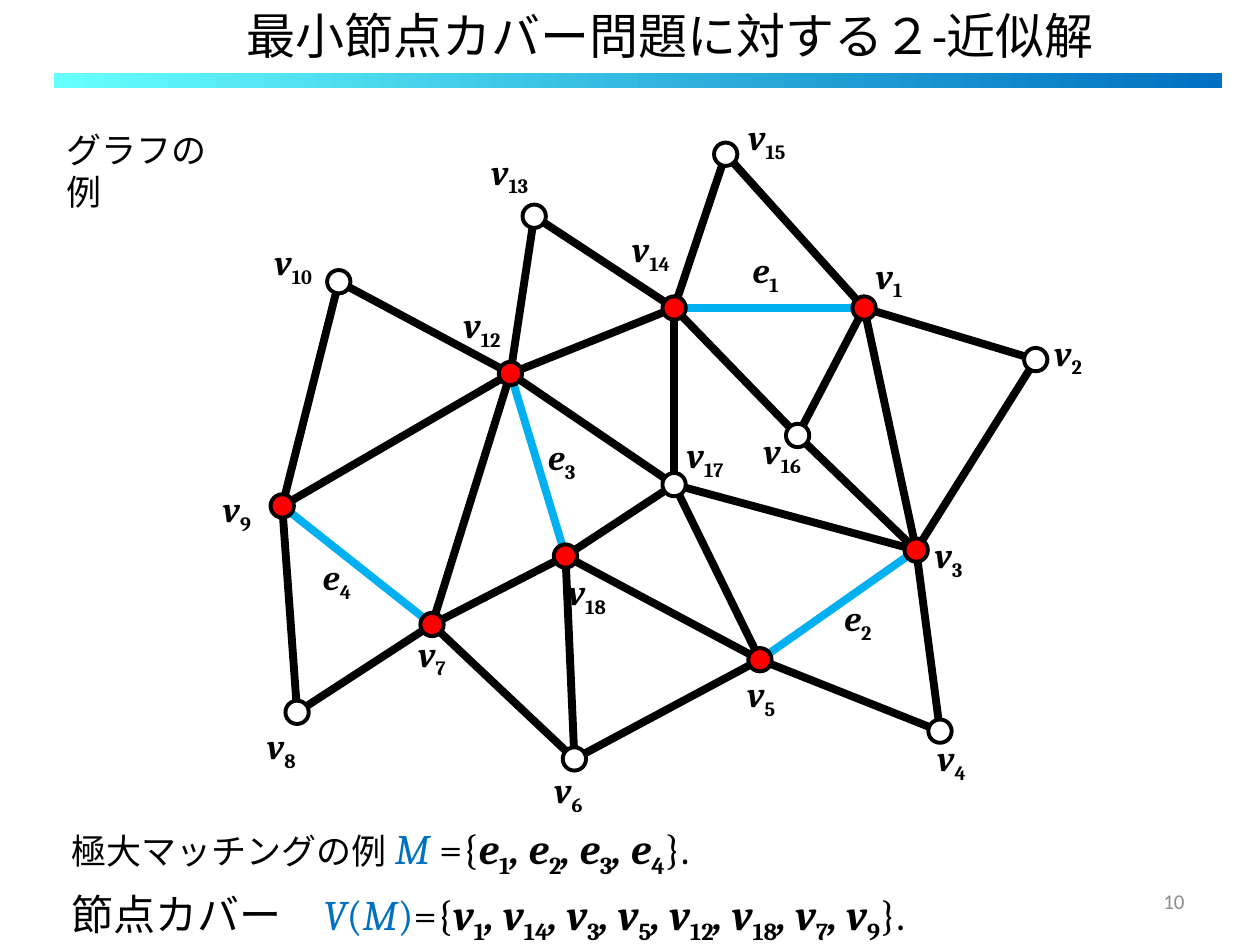
"""Build the slide on a 2-approximation for minimum vertex cover."""
from math import hypot

from lxml.etree import SubElement
from pptx import Presentation
from pptx.dml.color import RGBColor
from pptx.enum.shapes import MSO_CONNECTOR as Link, MSO_SHAPE as Form
from pptx.enum.text import MSO_ANCHOR as Anchor, PP_ALIGN as Align
from pptx.oxml.ns import qn
from pptx.util import Cm, Pt

BLACK = RGBColor(0x00, 0x00, 0x00)
WHITE = RGBColor(0xFF, 0xFF, 0xFF)
RED = RGBColor(0xFF, 0x00, 0x00)
SKY = RGBColor(0x00, 0xB0, 0xF0)
BLUE = RGBColor(0x00, 0x70, 0xC0)
AQUA = RGBColor(0x66, 0xFF, 0xFF)
GRAY = RGBColor(0x8C, 0x8C, 0x8C)
SANS, SERIF = "Calibri", "Cambria"
RADIUS = 0.235

TITLE = "最小節点カバー問題に対する２-近似解"
NODES = {
    1: (17.42, 6.21), 2: (20.88, 7.25), 3: (18.47, 11.09), 4: (18.95, 14.74),
    5: (15.32, 13.3), 6: (11.58, 15.3), 7: (8.71, 12.59), 8: (5.99, 14.36),
    9: (5.69, 10.2), 10: (6.83, 5.68), 12: (10.29, 7.53), 13: (10.77, 4.36),
    14: (13.59, 6.21), 15: (14.63, 3.11), 16: (16.08, 8.78),
    17: (13.59, 9.77), 18: (11.4, 11.21),
}
EDGES = [
    (15, 1), (1, 2), (13, 14), (12, 13), (6, 5), (16, 3), (18, 5), (8, 7),
    (10, 9), (10, 12), (9, 12), (6, 7), (3, 2), (17, 14), (7, 18), (8, 9),
    (16, 1), (5, 4), (4, 3), (18, 17), (14, 15), (5, 17), (12, 17), (3, 17),
    (16, 14), (7, 12), (6, 18), (12, 14), (3, 1),
]
MATCH = [(14, 1), (5, 3), (12, 18), (9, 7)]
COVER = [1, 14, 3, 5, 12, 18, 7, 9]
TAGS = {
    "e": {1: (14.76, 4.88), 2: (16.61, 11.91), 3: (10.64, 8.66),
          4: (6.1, 11.07)},
    "v": {1: (17.25, 5), 2: (20.85, 6.55), 3: (18.44, 10.64),
          4: (18.49, 14.73), 5: (14.66, 13.44), 6: (10.77, 15.37),
          7: (8.03, 12.62), 8: (4.98, 14.48), 9: (4.09, 9.7),
          10: (5.13, 4.72), 12: (8.94, 5.99), 13: (9.5, 2.9),
          14: (12.34, 4.47), 15: (14.68, 2.21), 16: (14.99, 8.53),
          17: (13.44, 8.61), 18: (11.05, 11.38)},
}


def add_run(para, text, size, font=SERIF, color=BLACK, bold=False,
            slant=False, sub=False):
    run = para.add_run()
    run.text = text
    face = run.font
    face.size, face.name, face.bold, face.italic = Pt(size), font, bold, slant
    face.color.rgb = color
    if sub:
        run._r.get_or_add_rPr().set("baseline", "-25000")


def add_term(para, text, num, size):
    add_run(para, text, size, bold=True, slant=True)
    add_run(para, str(num), size, bold=True, sub=True)


def add_set(para, name, nums):
    add_run(para, "={", 24)
    for pos, num in enumerate(nums):
        add_term(para, f", {name}" if pos else name, num, 24)
    add_run(para, "}.", 24)


def add_box(slide, left, top, width, height, wrap=True, anchor=Anchor.TOP):
    box = slide.shapes.add_textbox(Cm(left), Cm(top), Cm(width), Cm(height))
    frame = box.text_frame
    frame.word_wrap, frame.vertical_anchor = wrap, anchor
    return frame


def add_edge(slide, start, end, color):
    (ax, ay), (bx, by) = NODES[start], NODES[end]
    part = RADIUS / hypot(bx - ax, by - ay)
    dx, dy = (bx - ax) * part, (by - ay) * part
    line = slide.shapes.add_connector(
        Link.STRAIGHT, Cm(ax + dx), Cm(ay + dy), Cm(bx - dx), Cm(by - dy))
    line.line.color.rgb, line.line.width = color, Pt(4.5)
    SubElement(line._element.spPr, qn("a:effectLst"))


def add_node(slide, num):
    x, y = NODES[num]
    dot = slide.shapes.add_shape(
        Form.OVAL, Cm(x - RADIUS), Cm(y - RADIUS), Cm(2 * RADIUS),
        Cm(2 * RADIUS))
    dot.shadow.inherit = False
    dot.fill.solid()
    dot.fill.fore_color.rgb = RED if num in COVER else WHITE
    dot.line.color.rgb, dot.line.width = BLACK, Pt(2.25)


def add_head(slide):
    para = add_box(slide, 3.38, -0.89, 20.27, 3.18,
                   anchor=Anchor.MIDDLE).paragraphs[0]
    para.alignment = Align.CENTER
    add_run(para, TITLE, 28, SANS)
    bar = slide.shapes.add_shape(
        Form.RECTANGLE, Cm(1.09), Cm(1.47), Cm(23.55), Cm(0.3))
    bar.shadow.inherit = False
    bar.line.fill.background()
    bar.fill.gradient()
    bar.fill.gradient_angle = 0
    for stop, color, pos in zip(bar.fill.gradient_stops, (AQUA, BLUE), (0, 1)):
        stop.color.rgb, stop.position = color, pos
    add_run(add_box(slide, 1.09, 2.46, 3.76, 1.12).paragraphs[0],
            "グラフの例", 20, SANS)


def add_graph(slide):
    for edges, color in ((EDGES, BLACK), (MATCH, SKY)):
        for start, end in edges:
            add_edge(slide, start, end, color)
    for num in NODES:
        add_node(slide, num)
    for name, spots in TAGS.items():
        for num, (left, top) in spots.items():
            width = 1.3 if num < 10 else 1.65
            para = add_box(slide, left, top, width, 1.1, False).paragraphs[0]
            add_run(para, " ", 20)
            add_term(para, name, num, 20)


def add_foot(slide):
    frame = add_box(slide, 1.19, 16.28, 19.13, 2.62)
    pair, cover = frame.paragraphs[0], frame.add_paragraph()
    pair.line_spacing = cover.line_spacing = 1.15
    add_run(pair, "極大マッチングの例 ", 20)
    add_run(pair, "M ", 24, color=BLUE, slant=True)
    add_set(pair, "e", range(1, len(MATCH) + 1))
    add_run(cover, "節点カバー　", 24)
    for text in "V(M)":
        add_run(cover, text, 24, color=BLUE, slant=text.isalpha())
    add_set(cover, "v", COVER)
    page = add_box(slide, 18.21, 17.65, 5.92, 1.02,
                   anchor=Anchor.MIDDLE).paragraphs[0]
    page.alignment = Align.RIGHT
    add_run(page, "10", 12, SANS, GRAY)


def main():
    deck = Presentation()
    deck.slide_width, deck.slide_height = Cm(25.4), Cm(19.05)
    slide = deck.slides.add_slide(deck.slide_layouts[6])
    add_graph(slide)
    add_head(slide)
    add_foot(slide)
    deck.save("out.pptx")


if __name__ == "__main__":
    main()
